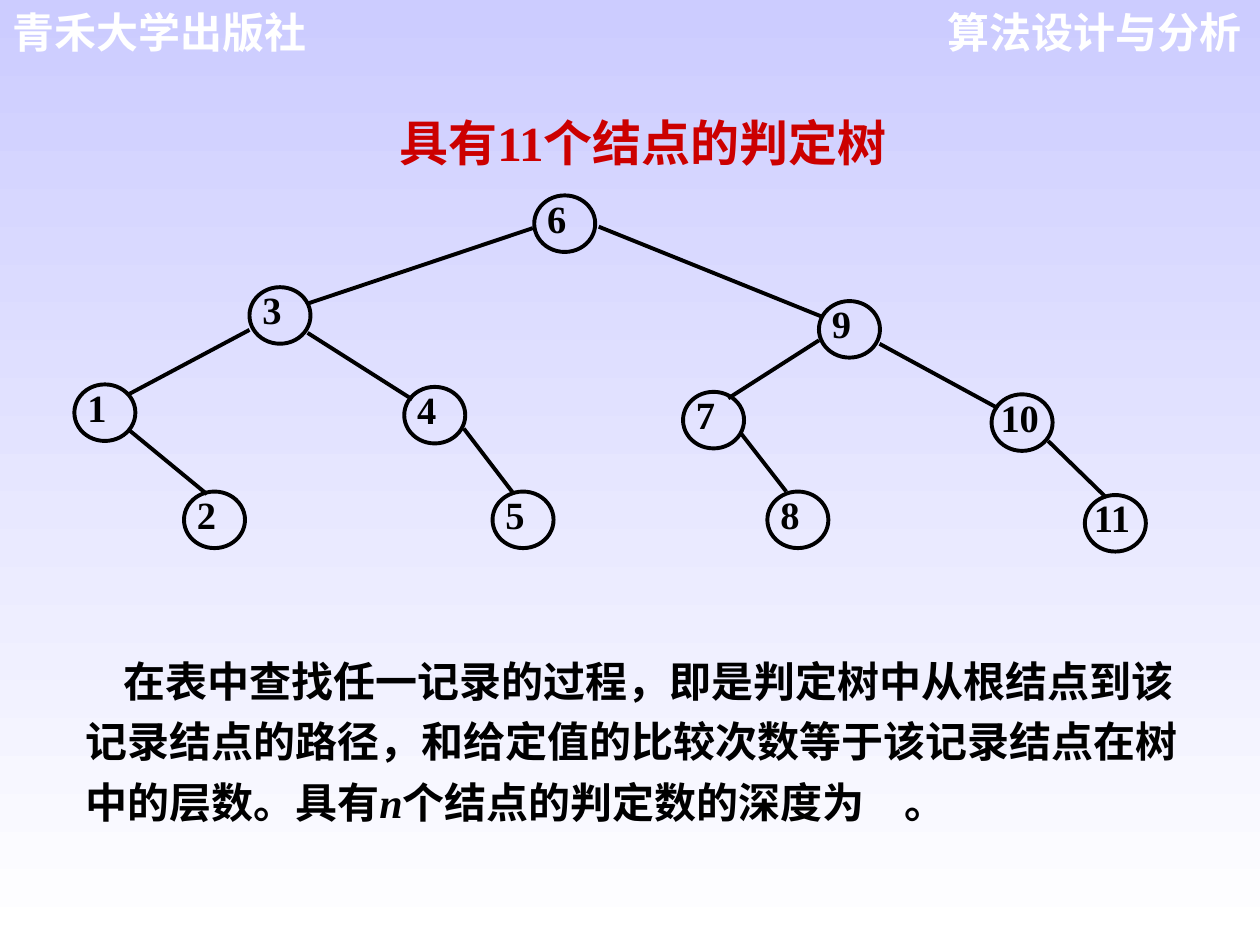
from lxml import etree
from pptx import Presentation
from pptx.dml.color import RGBColor
from pptx.enum.shapes import MSO_CONNECTOR, MSO_SHAPE
from pptx.enum.text import MSO_ANCHOR, PP_ALIGN
from pptx.oxml.ns import qn
from pptx.util import Cm, Pt

ELLIPSE = MSO_SHAPE.OVAL
STRAIGHT = MSO_CONNECTOR.STRAIGHT
MIDDLE = MSO_ANCHOR.MIDDLE
LEFT, CENTER, RIGHT, JUSTIFY = PP_ALIGN.LEFT, PP_ALIGN.CENTER, PP_ALIGN.RIGHT, PP_ALIGN.JUSTIFY

HAN, SERIF, SANS = "Noto Sans CJK SC", "Times New Roman", "Arial"
BLACK, WHITE, RED, LAVENDER = "000000", "FFFFFF", "CC0000", "CCCCFF"

NODE_WIDTH, NODE_HEIGHT = 1.23, 1.14
NODES = {
    6: (10.77, 3.94), 3: (5.03, 5.79), 9: (16.51, 6.07),
    1: (1.5, 7.75), 4: (8.15, 7.8), 7: (13.77, 7.9), 10: (19.99, 7.95),
    2: (3.71, 9.91), 5: (9.93, 9.91), 8: (15.47, 9.91), 11: (21.87, 9.98),
}
BRANCHES = [
    (10.74, 4.6, 6.2, 6.12), (12.07, 4.57, 16.56, 6.38),
    (5.03, 6.65, 2.59, 7.95), (6.2, 6.71, 8.31, 8.05),
    (16.51, 6.86, 14.68, 8.03), (17.73, 6.93, 20.12, 8.23),
    (2.59, 8.66, 4.17, 9.96), (9.35, 8.64, 10.36, 9.96),
    (14.94, 8.74, 15.85, 9.91), (21.13, 8.89, 22.3, 10.03),
]


def color(value):
    return RGBColor.from_string(value)


class TreeSlide:
    line_width = Pt(2.25)

    def __init__(self, deck):
        self.slide = deck.slides.add_slide(deck.slide_layouts[5])
        self.tree = self.slide.shapes.add_group_shape()

    def background(self, top, bottom):
        fill = self.slide.background.fill
        fill.gradient()
        fill.gradient_angle = 270
        for stop, value, position in zip(fill.gradient_stops, (top, bottom), (0, 1)):
            stop.color.rgb = color(value)
            stop.position = position

    def run(self, paragraph, text, size, font, value, italic=False):
        run = paragraph.add_run()
        run.text = text
        run.font.size = Pt(size)
        run.font.name = font
        run.font.bold = True
        run.font.italic = italic
        run.font.color.rgb = color(value)
        east_asian = etree.SubElement(run.font._element, qn("a:ea"))
        east_asian.set("typeface", HAN)

    def title(self, text, left, top, width, height):
        title = self.slide.shapes.title
        title.left, title.top, title.width, title.height = map(Cm, (left, top, width, height))
        title.text_frame.vertical_anchor = MIDDLE
        paragraph = title.text_frame.paragraphs[0]
        paragraph.alignment = CENTER
        self.run(paragraph, text, 28, SERIF, RED)

    def text_box(self, left, top, width, height, alignment=LEFT):
        box = self.slide.shapes.add_textbox(Cm(left), Cm(top), Cm(width), Cm(height))
        box.text_frame.word_wrap = True
        paragraph = box.text_frame.paragraphs[0]
        paragraph.alignment = alignment
        return paragraph

    def header(self, text, left, alignment):
        self.run(self.text_box(left, 0, 6.88, 1.27, alignment), text, 24, SANS, WHITE)

    def explanation(self, runs, left, top, width, height, indent, tab):
        paragraph = self.text_box(left, top, width, height)
        paragraph.line_spacing = 1.2
        properties = paragraph._p.get_or_add_pPr()
        properties.set("indent", str(Cm(indent)))
        stops = etree.SubElement(properties, qn("a:tabLst"))
        etree.SubElement(stops, qn("a:tab"), pos=str(Cm(tab)), algn="l")
        for text, font, italic in runs:
            self.run(paragraph, text, 24, font, BLACK, italic)

    def branch(self, *ends):
        branch = self.tree.shapes.add_connector(STRAIGHT, *map(Cm, ends))
        branch.line.color.rgb = color(BLACK)
        branch.line.width = self.line_width
        etree.SubElement(branch._element.spPr, qn("a:effectLst"))

    def node(self, number, left, top):
        node = self.tree.shapes.add_shape(
            ELLIPSE, Cm(left), Cm(top), Cm(NODE_WIDTH), Cm(NODE_HEIGHT))
        node.shadow.inherit = False
        node.fill.background()
        node.line.color.rgb = color(BLACK)
        node.line.width = self.line_width
        frame = node.text_frame
        frame.margin_left = Cm(0.08 if number < 10 else 0)
        frame.margin_top = frame.margin_right = frame.margin_bottom = 0
        frame.vertical_anchor = MSO_ANCHOR.TOP
        paragraph = frame.paragraphs[0]
        paragraph.alignment = JUSTIFY
        paragraph.line_spacing = 0.8
        self.run(paragraph, str(number), 22, SERIF, BLACK)


def main():
    deck = Presentation()
    deck.slide_width, deck.slide_height = Cm(25.4), Cm(19.05)
    page = TreeSlide(deck)
    page.background(LAVENDER, WHITE)
    page.header("算法设计与分析", 18.39, RIGHT)
    page.header("青禾大学出版社", 0, LEFT)
    page.title("具有11个结点的判定树", 1.3, 2.13, 23.32, 1.47)
    for ends in BRANCHES:
        page.branch(*ends)
    for number, corner in NODES.items():
        page.node(number, *corner)
    page.explanation(
        [
            ("在表中查找任一记录的过程，即是判定树中从根结点到该记录结点的路径，"
             "和给定值的比较次数等于该记录结点在树中的层数。具有", HAN, False),
            ("n", SERIF, True),
            ("个结点的判定数的深度为\t。", HAN, False),
        ],
        1.47, 12.88, 22.86, 3.91, indent=0.77, tab=18.17)
    deck.save("out.pptx")


if __name__ == "__main__":
    main()
